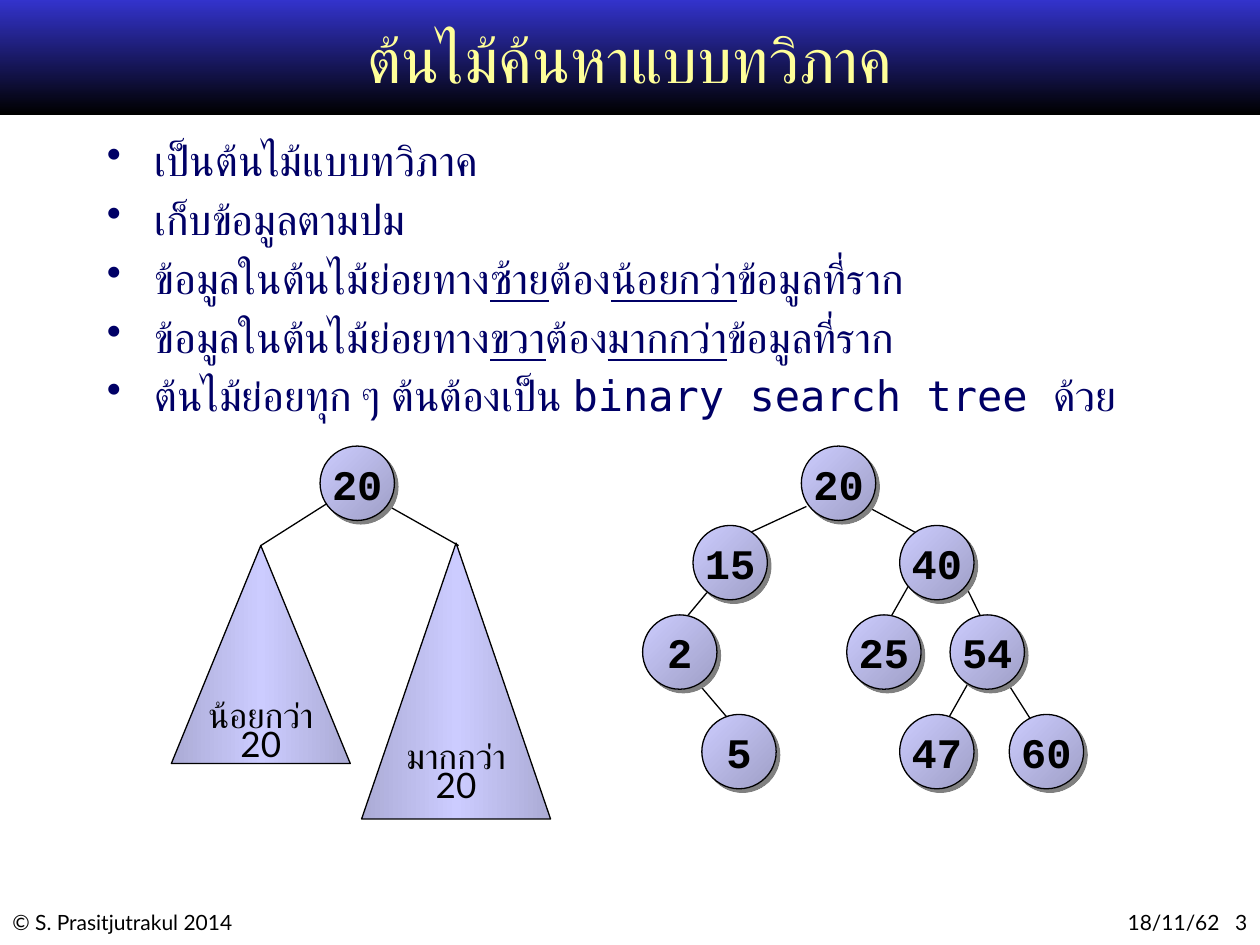
from lxml import etree
from pptx import Presentation
from pptx.dml.color import RGBColor
from pptx.enum.shapes import MSO_CONNECTOR, MSO_SHAPE
from pptx.enum.text import MSO_ANCHOR, PP_ALIGN
from pptx.oxml import parse_xml
from pptx.oxml.ns import nsdecls, qn
from pptx.util import Inches, Pt

LEFT, CENTER = PP_ALIGN.LEFT, PP_ALIGN.CENTER
TOP, MIDDLE = MSO_ANCHOR.TOP, MSO_ANCHOR.MIDDLE
RECTANGLE, OVAL = MSO_SHAPE.RECTANGLE, MSO_SHAPE.OVAL
TRIANGLE = MSO_SHAPE.ISOSCELES_TRIANGLE
STRAIGHT = MSO_CONNECTOR.STRAIGHT

COLORS = {
    "banner_top": "3333CC", "black": "000000", "title": "FFFF99",
    "body": "000066", "light": "CCCCFF", "node_dark": "9F9FC6",
    "tree_dark": "ABABD5", "shadow": "808080",
}
MONO, SANS, CODE = "DejaVu Sans Mono", "Lato", "Courier New"
NODE_SIZE = 0.59

BULLETS = [
    [("เป็นต้นไม้แบบทวิภาค", False)],
    [("เก็บข้อมูลตามปม", False)],
    [("ข้อมูลในต้นไม้ย่อยทาง", False), ("ซ้าย", True), ("ต้อง", False),
     ("น้อยกว่า", True), ("ข้อมูลที่ราก", False)],
    [("ข้อมูลในต้นไม้ย่อยทาง", False), ("ขวา", True), ("ต้อง", False),
     ("มากกว่า", True), ("ข้อมูลที่ราก", False)],
    [("ต้นไม้ย่อยทุก ๆ ต้นต้องเป็น binary search tree ด้วย", False)],
]
EDGES = [
    (5.73, 4.56, 5.33, 5.04), (5.41, 5.27, 5.81, 5.74),
    (7.77, 5.27, 7.46, 5.82), (7.85, 5.19, 8.25, 5.82),
    (5.73, 4.33, 6.4, 4.02), (6.88, 4.02, 7.46, 4.33),
    (7.25, 4.58, 6.96, 5.09), (7.62, 4.56, 7.88, 5.09),
    (2.7, 3.93, 2.07, 4.33), (2.93, 3.93, 3.64, 4.33),
]
LEVELS = [
    (3.54, [("20", 2.54), ("20", 6.36)]),
    (4.17, [("15", 5.5), ("40", 7.14)]),
    (4.88, [("2", 5.1), ("25", 6.72), ("54", 7.54)]),
    (5.67, [("5", 5.57), ("47", 7.14), ("60", 8.01)]),
]
SUBTREES = [
    ("น้อยกว่า", 1.36, 4.33, 1.42, 1.73),
    ("มากกว่า", 2.87, 4.31, 1.5, 2.19),
]


def rgb(name):
    return RGBColor.from_string(COLORS[name])


def add_span(para, text, size, font, color, bold=False, underline=False):
    span = para.add_run()
    span.text = text
    span.font.size = Pt(size)
    span.font.name = font
    span.font.bold = bold
    span.font.underline = underline
    span.font.color.rgb = rgb(color)


def add_box(page, left, top, width, height, anchor=TOP):
    box = page.shapes.add_textbox(
        Inches(left), Inches(top), Inches(width), Inches(height))
    box.text_frame.word_wrap = True
    box.text_frame.vertical_anchor = anchor
    return box.text_frame


def add_shape(page, kind, left, top, width, height, stops, angle):
    shape = page.shapes.add_shape(
        kind, Inches(left), Inches(top), Inches(width), Inches(height))
    shape.shadow.inherit = False
    shape.line.color.rgb = rgb("black")
    shape.line.width = Pt(0.75)
    stop_xml = "".join(
        f'<a:gs pos="{position * 1000}"><a:srgbClr val="{COLORS[color]}"/></a:gs>'
        for position, color in stops)
    gradient = parse_xml(
        f'<a:gradFill {nsdecls("a")} rotWithShape="1"><a:gsLst>{stop_xml}</a:gsLst>'
        f'<a:lin ang="{angle * 60000}" scaled="0"/></a:gradFill>')
    shape.element.spPr.find(qn("a:prstGeom")).addnext(gradient)
    return shape


def center_text(shape):
    frame = shape.text_frame
    frame.word_wrap = False
    frame.vertical_anchor = MIDDLE
    para = frame.paragraphs[0]
    para.alignment = CENTER
    return para


def add_node(page, label, left, top):
    node = add_shape(page, OVAL, left, top, NODE_SIZE, NODE_SIZE,
                     [(0, "light"), (100, "node_dark")], 45)
    effects = node.element.spPr.find(qn("a:effectLst"))
    effects.append(parse_xml(
        f'<a:outerShdw {nsdecls("a")} dist="{Pt(2.8)}" dir="2700000" algn="ctr" '
        f'rotWithShape="0"><a:srgbClr val="{COLORS["shadow"]}"/></a:outerShdw>'))
    add_span(center_text(node), label, 24, CODE, "black", bold=True)


def add_subtree(page, label, left, top, width, height):
    subtree = add_shape(page, TRIANGLE, left, top, width, height,
                        [(0, "tree_dark"), (50, "light"), (100, "tree_dark")], 0)
    para = center_text(subtree)
    subtree.text_frame.margin_top = Inches(0.45)
    para.line_spacing = 0.7
    add_span(para, label, 20, SANS, "black")
    para.add_line_break()
    add_span(para, "20", 20, SANS, "black")


def add_edge(page, *ends):
    edge = page.shapes.add_connector(STRAIGHT, *[Inches(end) for end in ends])
    edge.line.color.rgb = rgb("black")
    edge.line.width = Pt(0.75)
    etree.SubElement(edge.element.spPr, qn("a:effectLst"))


def add_title(page):
    para = add_box(page, 0.75, 0.05, 8.5, 0.83, MIDDLE).paragraphs[0]
    para.alignment = CENTER
    add_span(para, "ต้นไม้ค้นหาแบบทวิภาค", 36, MONO, "title")


def add_bullets(page):
    frame = add_box(page, 0.75, 1.02, 8.5, 2.5)
    for index, spans in enumerate(BULLETS):
        para = frame.add_paragraph() if index else frame.paragraphs[0]
        settings = para._p.get_or_add_pPr()
        settings.set("marL", str(Inches(0.38)))
        settings.set("indent", str(Inches(-0.38)))
        etree.SubElement(settings, qn("a:buChar"), char="•")
        para.alignment = LEFT
        if index:
            para.space_before = Pt(4.8)
        for text, underline in spans:
            add_span(para, text, 24, MONO, "body", underline=underline)


def add_footer(page):
    para = add_box(page, 0, 7.17, 3.25, 0.3).paragraphs[0]
    add_span(para, "© S. Prasitjutrakul 2014", 12, SANS, "black")
    frame = add_box(page, 7.83, 7.17, 2.17, 0.3)
    frame.margin_left, frame.margin_right = Inches(1.12), Inches(0.05)
    para = frame.paragraphs[0]
    tabs = etree.SubElement(para._p.get_or_add_pPr(), qn("a:tabLst"))
    etree.SubElement(tabs, qn("a:tab"), pos=str(Inches(0.95)), algn="r")
    add_span(para, "18/11/62\t3", 12, SANS, "black")


def main():
    deck = Presentation()
    deck.slide_width, deck.slide_height = Inches(10), Inches(7.5)
    page = deck.slides.add_slide(deck.slide_layouts[6])
    banner = add_shape(page, RECTANGLE, 0, 0, 10, 0.91,
                       [(0, "banner_top"), (100, "black")], 90)
    banner.line.fill.background()
    add_footer(page)
    add_title(page)
    add_bullets(page)
    for subtree in SUBTREES:
        add_subtree(page, *subtree)
    for edge in EDGES:
        add_edge(page, *edge)
    for top, nodes in LEVELS:
        for label, left in nodes:
            add_node(page, label, left, top)
    deck.save("out.pptx")


if __name__ == "__main__":
    main()
